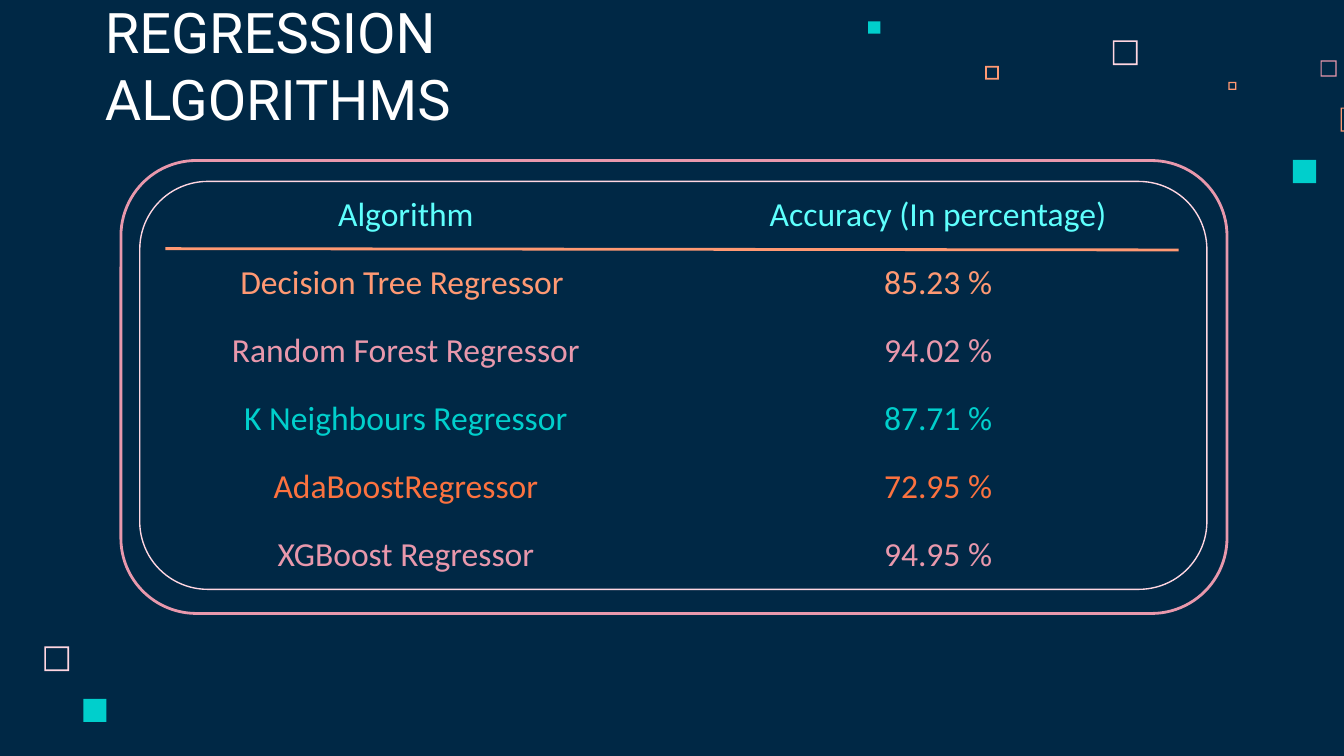
from dataclasses import dataclass

import pptx
import pptx.dml.color
import pptx.enum.shapes
import pptx.enum.text
import pptx.oxml
import pptx.oxml.ns
import pptx.shapes.autoshape
import pptx.slide
import pptx.table
import pptx.util

RGBColor = pptx.dml.color.RGBColor
NAVY = RGBColor(0x00, 0x28, 0x45)
WHITE = RGBColor(0xFF, 0xFF, 0xFF)
BLUSH = RGBColor(0xFF, 0xD6, 0xE1)
PINK = RGBColor(0xE8, 0x98, 0xAC)
PEACH = RGBColor(0xFF, 0x99, 0x73)
ORANGE = RGBColor(0xFC, 0x72, 0x3F)
TEAL = RGBColor(0x00, 0xCF, 0xCC)
AQUA = RGBColor(0x5E, 0xFF, 0xFD)

# The slide is a grid of 100 columns; its rows are as tall as the columns are wide
SLIDE_WIDTH = pptx.util.Inches(10)
SLIDE_HEIGHT = SLIDE_WIDTH * 9 // 16
GRID_COLUMNS = 100
INSET = 1


@dataclass
class Square:
    left: float
    top: float
    size: float
    color: RGBColor
    border: float = 0  # share of the size; 0 means solid


@dataclass
class Panel:
    left: float
    top: float
    width: float
    height: float
    color: RGBColor
    line_points: float


@dataclass
class TableRow:
    algorithm: str
    accuracy: str
    color: RGBColor


SQUARES = [
    Square(82.8, 3, 1.85, BLUSH, 0.07),
    Square(98.25, 4.5, 1.2, PINK, 0.07),
    Square(91.4, 6.1, 0.6, PEACH, 0.15),
    Square(99.75, 8, 1.8, PEACH, 0.05),
    Square(96.2, 11.9, 1.72, TEAL),
    Square(73.3, 4.9, 1.03, PEACH, 0.13),
    Square(64.6, 1.6, 0.9, TEAL),
    Square(3.3, 48.1, 1.85, BLUSH, 0.07),
    Square(6.2, 52, 1.72, TEAL),
]
PANELS = [
    Panel(9, 11.95, 82.3, 33.7, PINK, 1.5),
    Panel(10.4, 13.5, 79.4, 30.35, BLUSH, 0.75),
]
TABLE_ROWS = [
    TableRow("Algorithm", "Accuracy (In percentage)", AQUA),
    TableRow("Decision Tree Regressor ", "85.23 %", PEACH),
    TableRow("Random Forest Regressor", "94.02 %", PINK),
    TableRow("K Neighbours Regressor", "87.71 %", TEAL),
    TableRow("AdaBoostRegressor", "72.95 %", ORANGE),
    TableRow("XGBoost Regressor", "94.95 %", PINK),
]


def grid(units: float) -> pptx.util.Emu:
    return pptx.util.Emu(round(SLIDE_WIDTH * units / GRID_COLUMNS))


def add_run(paragraph, text: str, font: str, points: float, color: RGBColor) -> None:
    run = paragraph.add_run()
    run.text = text
    run.font.name = font
    run.font.size = pptx.util.Pt(points)
    run.font.color.rgb = color


def draw_square(slide: pptx.slide.Slide, square: Square) -> None:
    kinds = pptx.enum.shapes.MSO_SHAPE
    shape = slide.shapes.add_shape(
        kinds.FRAME if square.border else kinds.RECTANGLE,
        grid(square.left), grid(square.top), grid(square.size), grid(square.size))
    if square.border:
        shape.adjustments[0] = square.border
    shape.shadow.inherit = False
    shape.fill.solid()
    shape.fill.fore_color.rgb = square.color
    shape.line.fill.background()


def draw_panel(slide: pptx.slide.Slide, panel: Panel) -> None:
    shape = slide.shapes.add_shape(
        pptx.enum.shapes.MSO_SHAPE.ROUNDED_RECTANGLE,
        grid(panel.left), grid(panel.top), grid(panel.width), grid(panel.height))
    shape.shadow.inherit = False
    shape.fill.background()
    shape.line.color.rgb = panel.color
    shape.line.width = pptx.util.Pt(panel.line_points)


def draw_title(slide: pptx.slide.Slide, text: str) -> None:
    title = slide.shapes.title
    title.left, title.top = grid(6.8), grid(4.5)
    title.width, title.height = grid(51.7), grid(6.3)
    frame = title.text_frame
    frame.word_wrap = True
    frame.auto_size = pptx.enum.text.MSO_AUTO_SIZE.NONE
    frame.vertical_anchor = pptx.enum.text.MSO_ANCHOR.BOTTOM
    frame.margin_left = frame.margin_right = grid(INSET)
    frame.margin_top = frame.margin_bottom = grid(INSET)
    paragraph = frame.paragraphs[0]
    paragraph.alignment = pptx.enum.text.PP_ALIGN.LEFT
    add_run(paragraph, text, "Roboto", 30, WHITE)


def fill_cell(cell: pptx.table._Cell, text: str, color: RGBColor) -> None:
    cell.margin_left = cell.margin_right = grid(INSET)
    cell.margin_top = cell.margin_bottom = grid(INSET)
    properties = cell._tc.get_or_add_tcPr()
    for side in ("lnL", "lnR", "lnT", "lnB"):
        properties.append(pptx.oxml.parse_xml(
            f'<a:{side} {pptx.oxml.ns.nsdecls("a")}><a:noFill/></a:{side}>'))
    cell.fill.background()
    paragraph = cell.text_frame.paragraphs[0]
    paragraph.alignment = pptx.enum.text.PP_ALIGN.CENTER
    add_run(paragraph, text, "Calibri", 18, color)


def draw_table(slide: pptx.slide.Slide, rows: list[TableRow]) -> None:
    column_width, row_height = 39.6, 4.2
    table = slide.shapes.add_table(
        len(rows), 2, grid(10.4), grid(13.5),
        grid(2 * column_width), grid(len(rows) * row_height)).table
    table.first_row = table.horz_banding = False
    for index, row in enumerate(rows):
        fill_cell(table.cell(index, 0), row.algorithm, row.color)
        fill_cell(table.cell(index, 1), row.accuracy, row.color)


def draw_header_rule(slide: pptx.slide.Slide) -> None:
    rule = slide.shapes.add_connector(
        pptx.enum.shapes.MSO_CONNECTOR.STRAIGHT,
        grid(12.3), grid(18.5), grid(87.7), grid(18.6))
    rule.line.color.rgb = PEACH
    rule.line.width = pptx.util.Pt(1.5)
    rule._element.spPr.append(
        pptx.oxml.parse_xml(f'<a:effectLst {pptx.oxml.ns.nsdecls("a")}/>'))


def main() -> None:
    presentation = pptx.Presentation()
    presentation.slide_width = SLIDE_WIDTH
    presentation.slide_height = SLIDE_HEIGHT
    slide = presentation.slides.add_slide(
        presentation.slide_layouts.get_by_name("Title Only"))
    slide.background.fill.solid()
    slide.background.fill.fore_color.rgb = NAVY

    # Scattered squares
    for square in SQUARES:
        draw_square(slide, square)

    # Title and double outline
    draw_title(slide, "REGRESSION ALGORITHMS")
    for panel in PANELS:
        draw_panel(slide, panel)

    # Accuracy table with a rule under its header
    draw_table(slide, TABLE_ROWS)
    draw_header_rule(slide)

    presentation.save("out.pptx")


if __name__ == "__main__":
    main()
